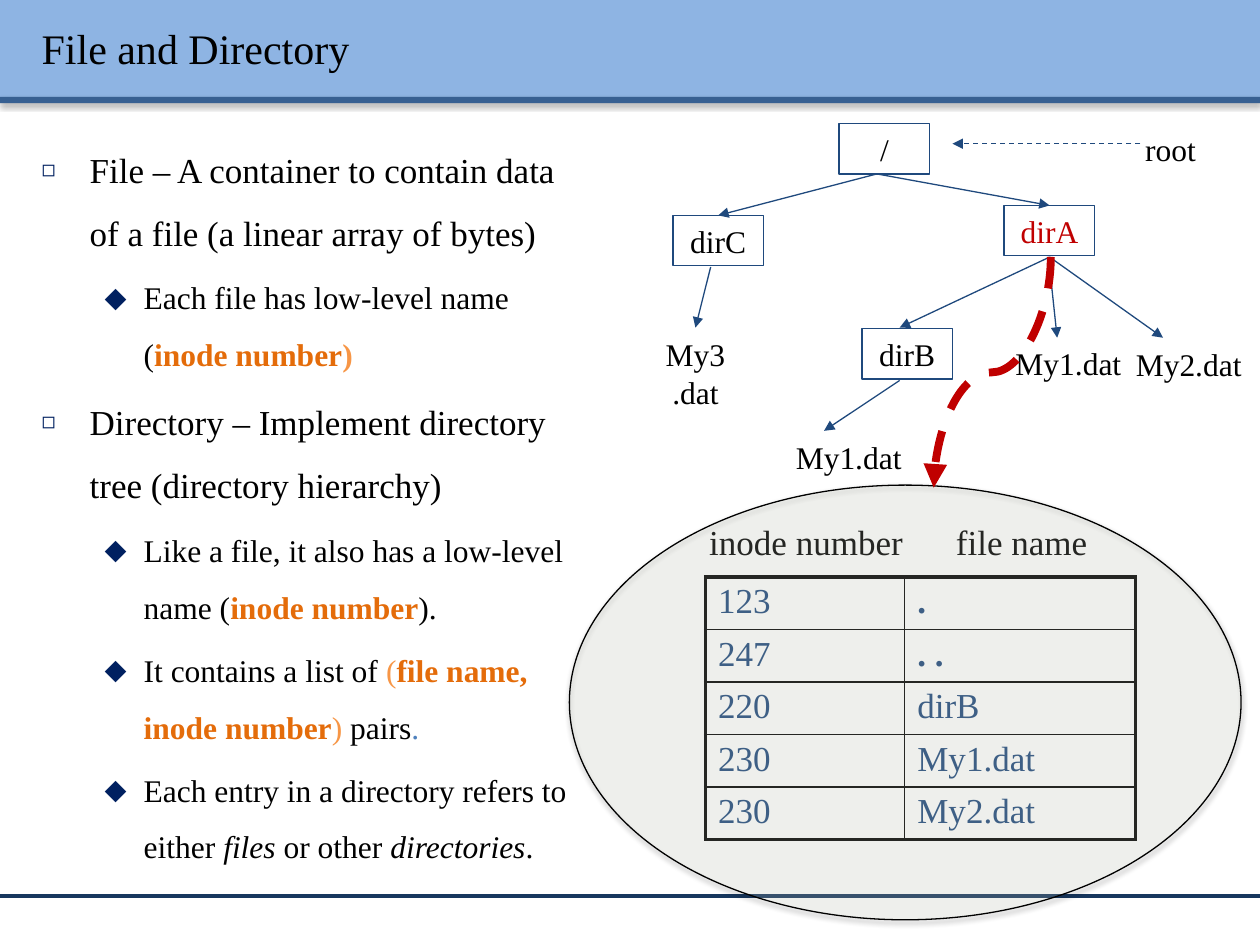
from lxml import etree
from pptx import Presentation
from pptx.dml.color import RGBColor
from pptx.enum.dml import MSO_LINE
from pptx.enum.shapes import MSO_CONNECTOR, MSO_SHAPE
from pptx.enum.text import MSO_ANCHOR, MSO_AUTO_SIZE, PP_ALIGN
from pptx.oxml.ns import qn
from pptx.util import Pt

RECT, ELLIPSE = MSO_SHAPE.RECTANGLE, MSO_SHAPE.OVAL
STRAIGHT, CURVE = MSO_CONNECTOR.STRAIGHT, MSO_CONNECTOR.CURVE
DASH = MSO_LINE.DASH
LEFT, CENTER = PP_ALIGN.LEFT, PP_ALIGN.CENTER
TOP, MIDDLE = MSO_ANCHOR.TOP, MSO_ANCHOR.MIDDLE
NO_AUTOFIT = MSO_AUTO_SIZE.NONE

FONT = "Times New Roman"
COLORS = {
    "black": "000000", "header": "8EB4E3", "stripe": "376092",
    "footer": "17375E", "bullet": "002060", "tree": "1F497D",
    "red": "C00000", "key": "E46C0A", "paren": "F79646",
    "dot": "4F81BD", "lens": "EBF1DE",
}


def rgb(name):
    return RGBColor.from_string(COLORS[name])


def add_xml(parent, tag, **attributes):
    return etree.SubElement(parent, qn(tag), attributes)


class SlideBuilder:
    """Holds the style and the current slide."""

    def __init__(self, slide):
        self.slide = slide
        self.shapes = slide.shapes

    def style(self, font, size, color="black", bold=None):
        font.name, font.size, font.bold = FONT, Pt(size), bold
        font.color.rgb = rgb(color)

    def shadow(self, effects):
        shade = add_xml(effects, "a:outerShdw", blurRad=str(Pt(3.1)),
                        dist=str(Pt(1.6)), dir="5400000", rotWithShape="0")
        black = add_xml(shade, "a:srgbClr", val=COLORS["black"])
        add_xml(black, "a:alpha", val="38000")

    def shape(self, kind, box, fill=None, line=None, opacity=None, shadow=False):
        shape = self.shapes.add_shape(kind, *map(Pt, box))
        if fill:
            shape.fill.solid()
            shape.fill.fore_color.rgb = rgb(fill)
        else:
            shape.fill.background()
        if opacity:
            tint = shape._element.spPr.find(".//" + qn("a:srgbClr"))
            add_xml(tint, "a:alpha", val=str(opacity * 1000))
        if line:
            shape.line.color.rgb = rgb(line)
            shape.line.width = Pt(0.75)
        else:
            shape.line.fill.background()
        shape.shadow.inherit = False
        if shadow:
            self.shadow(shape._element.spPr.find(qn("a:effectLst")))
        return shape

    def set_text(self, shape, text, size=18, color="black", align=CENTER, anchor=TOP):
        frame = shape.text_frame
        frame.word_wrap, frame.vertical_anchor = True, anchor
        paragraph = frame.paragraphs[0]
        paragraph.text, paragraph.alignment = text, align
        self.style(paragraph.font, size, color)
        return paragraph

    def node(self, text, left, top, color="black"):
        box = self.shape(RECT, (left, top, 51.8, 28.8), line="tree")
        self.set_text(box, text, color=color, anchor=MIDDLE)

    def label(self, text, left, top, width, **options):
        box = self.shapes.add_textbox(Pt(left), Pt(top), Pt(width), Pt(28.8))
        return self.set_text(box, text, **options)

    def line(self, start, end, color="tree", width=0.75, kind=STRAIGHT,
             dash=None, arrow=True):
        line = self.shapes.add_connector(kind, *map(Pt, start + end))
        line.line.color.rgb = rgb(color)
        line.line.width = Pt(width)
        if dash:
            line.line.dash_style = dash
        properties = line._element.spPr
        if arrow:
            add_xml(properties.find(qn("a:ln")), "a:tailEnd", type="triangle")
        add_xml(properties, "a:effectLst")
        return line

    def place(self, placeholder, box):
        placeholder.left, placeholder.top, placeholder.width, placeholder.height = map(Pt, box)
        placeholder.text_frame.auto_size = NO_AUTOFIT
        self.shapes._spTree.append(placeholder._element)  # in front of the header
        return placeholder

    def title(self, text, box):
        heading = self.place(self.shapes.title, box)
        paragraph = self.set_text(heading, text, 24, align=LEFT, anchor=MIDDLE)
        self.shadow(add_xml(paragraph.runs[0]._r.get_or_add_rPr(), "a:effectLst"))

    def bullets(self, items, box):
        frame = self.place(self.slide.placeholders[1], box).text_frame
        for number, (level, runs) in enumerate(items):
            paragraph = frame.add_paragraph() if number else frame.paragraphs[0]
            paragraph.level, paragraph.line_spacing = level, 1.5
            self.style(paragraph.font, 18 if level else 20)
            mark, margin, hang, size = [("◻", 27.4, 27.4, 65), ("⬥", 58.3, 22.3, 100)][level]
            properties = paragraph._p.get_or_add_pPr()
            properties.set("marL", str(Pt(margin)))
            properties.set("indent", str(-Pt(hang)))
            bullet = [etree.Element(qn(tag)) for tag in ("a:buClr", "a:buSzPct", "a:buChar")]
            add_xml(bullet[0], "a:srgbClr", val=COLORS["bullet"])
            bullet[1].set("val", str(size * 1000))
            bullet[2].set("char", mark)
            for part in bullet:
                properties.find(qn("a:defRPr")).addprevious(part)
            for text, color, emphasis in runs:
                run = paragraph.add_run()
                run.text = text
                if color:
                    run.font.color.rgb = rgb(color)
                if emphasis == "bold":
                    run.font.bold = True
                elif emphasis == "italic":
                    run.font.italic = True

    def table(self, rows, left, top, widths, row_height):
        table = self.shapes.add_table(
            len(rows), len(widths), Pt(left), Pt(top),
            Pt(sum(widths)), Pt(row_height * len(rows))).table
        table.first_row = table.horz_banding = False
        for column, width in zip(table.columns, widths):
            column.width = Pt(width)
        for r, row in enumerate(rows):
            for c, text in enumerate(row):
                cell = table.cell(r, c)
                cell.margin_top = cell.margin_bottom = Pt(3)
                paragraph = cell.text_frame.paragraphs[0]
                paragraph.text = text
                self.style(paragraph.font, 20, "tree", text.startswith("."))
                outer = {"L": c == 0, "R": c == len(widths) - 1,
                         "T": r == 0, "B": r == len(rows) - 1}
                properties = cell._tc.get_or_add_tcPr()
                for side, is_outer in outer.items():
                    border = add_xml(properties, "a:ln" + side,
                                     w=str(Pt(2.25 if is_outer else 1)))
                    fill = add_xml(border, "a:solidFill")
                    add_xml(fill, "a:srgbClr", val=COLORS["black"])
                cell.fill.background()


def main():
    deck = Presentation()
    deck.slide_width, deck.slide_height = Pt(720), Pt(540)
    page = SlideBuilder(deck.slides.add_slide(deck.slide_layouts[1]))

    # Header and footer
    page.shape(RECT, (0, 0, 720, 55.4), "header", shadow=True)
    page.shape(RECT, (0, 55.4, 720, 3.6), "stripe", shadow=True)
    page.line((0, 512), (720, 512), "footer", 2, arrow=False)
    page.title("File and Directory", (16.6, 4.3, 692, 46))

    # Definitions
    inode = ("inode number", "key", "bold")
    page.bullets([
        (0, [("File – A container to contain data of a file (a linear array of bytes)", None, None)]),
        (1, [("Each file has low-level name (", None, None), inode, (")", "paren", "bold")]),
        (0, [("Directory – Implement directory tree (directory hierarchy)", None, None)]),
        (1, [("Like a file, it also has a low-level name (", None, None), inode, (").", None, None)]),
        (1, [("It contains a list of ", None, None), ("(", "paren", None),
             ("file name, inode number", "key", "bold"), (")", "paren", None),
             (" pairs", None, None), (".", "dot", None)]),
        (1, [("Each entry in a directory refers to either ", None, None), ("files", None, "italic"),
             (" or other ", None, None), ("directories", None, "italic"), (".", None, None)]),
    ], (16.6, 69.1, 321.8, 433.4))

    # Directory tree
    page.node("/", 479.5, 70.6)
    page.node("dirC", 384.5, 123.1)
    page.node("dirA", 573.8, 117.4, "red")
    page.node("dirB", 492.5, 187.9)
    for name, left, top, width in [
            ("My1.dat", 569.5, 193, 82.1), ("My2.dat", 638.6, 193.7, 81.4),
            ("My3.dat", 371.5, 187.9, 51.8), ("My1.dat", 445, 247, 79.9),
            ("root", 643, 70.6, 51.8)]:
        page.label(name, left, top, width)
    root, dir_a = (501.1, 99.4), (599.8, 146.9)
    for start, end in [
            (root, (410.4, 123.1)), (root, (599.8, 117.4)),
            ((406.1, 152.6), (397.4, 187.2)), (dir_a, (514.1, 187.2)),
            ((599.8, 152.6), (604.1, 193)), (dir_a, (664.6, 193)),
            ((514.1, 217.4), (470.9, 246.2))]:
        page.line(start, end)
    page.line((651.6, 82.1), (544.3, 82.1), dash=DASH)

    # Contents of dirA
    page.table([("123", "."), ("247", ". ."), ("220", "dirB"),
                ("230", "My1.dat"), ("230", "My2.dat")],
               403.2, 329.8, (113.8, 131.8), 29.4)
    heading = page.label("inode number\tfile name", 398.2, 293.8, 232, size=20, align=LEFT)
    tabs = etree.Element(qn("a:tabLst"))
    add_xml(tabs, "a:tab", pos=str(Pt(141)), algn="l")
    heading._p.pPr.find(qn("a:defRPr")).addprevious(tabs)
    page.shape(ELLIPSE, (325.4, 277.2, 383.8, 248.4), "lens", "black", opacity=16, shadow=True)

    # Curved arrow from dirA to its contents, a quarter turn clockwise
    pointer = page.line((501.1, 179.3), (632.9, 246.2), "red", 4.5, CURVE, DASH)
    pointer._element.spPr.find(qn("a:xfrm")).set("rot", "5400000")

    deck.save("out.pptx")


if __name__ == "__main__":
    main()
